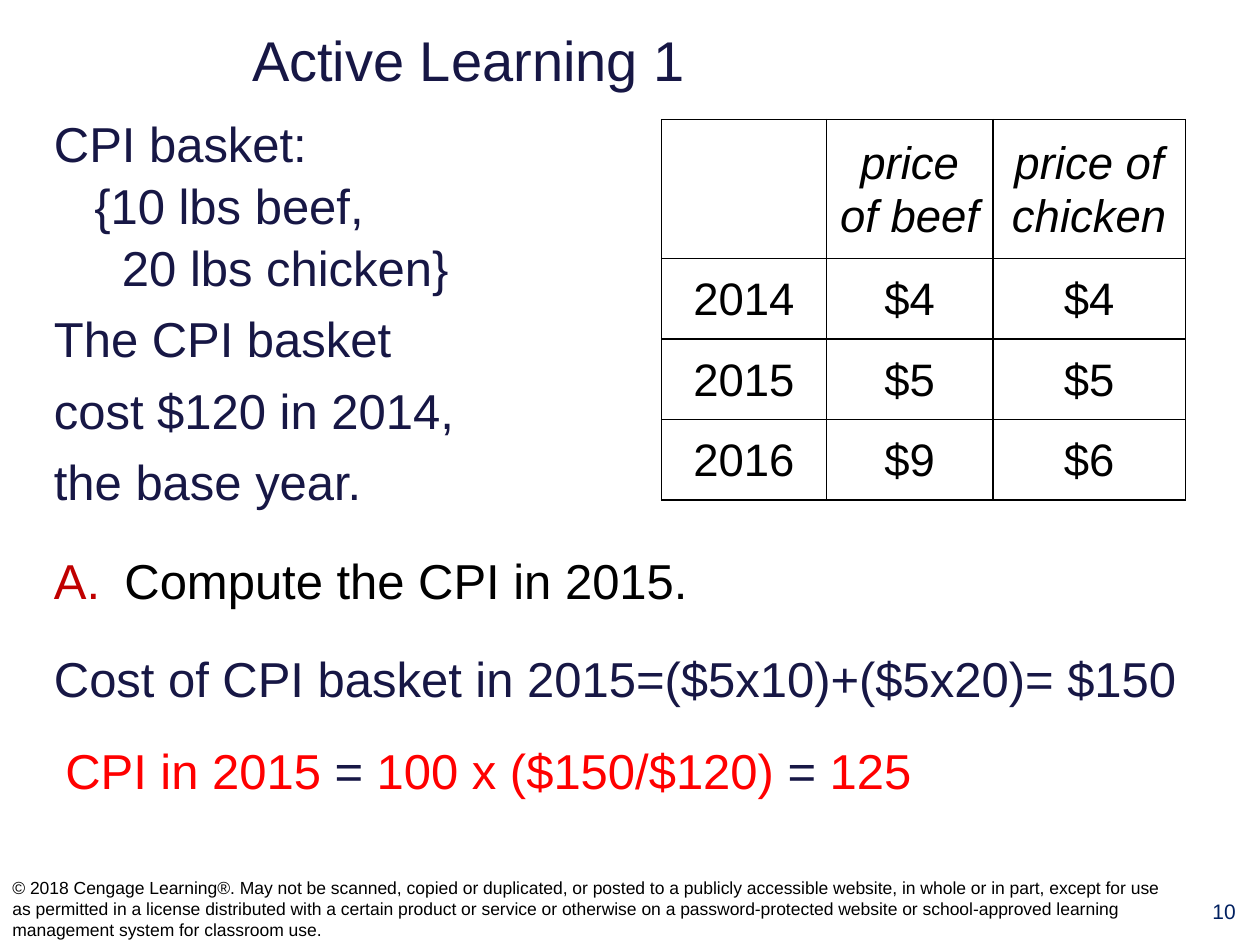
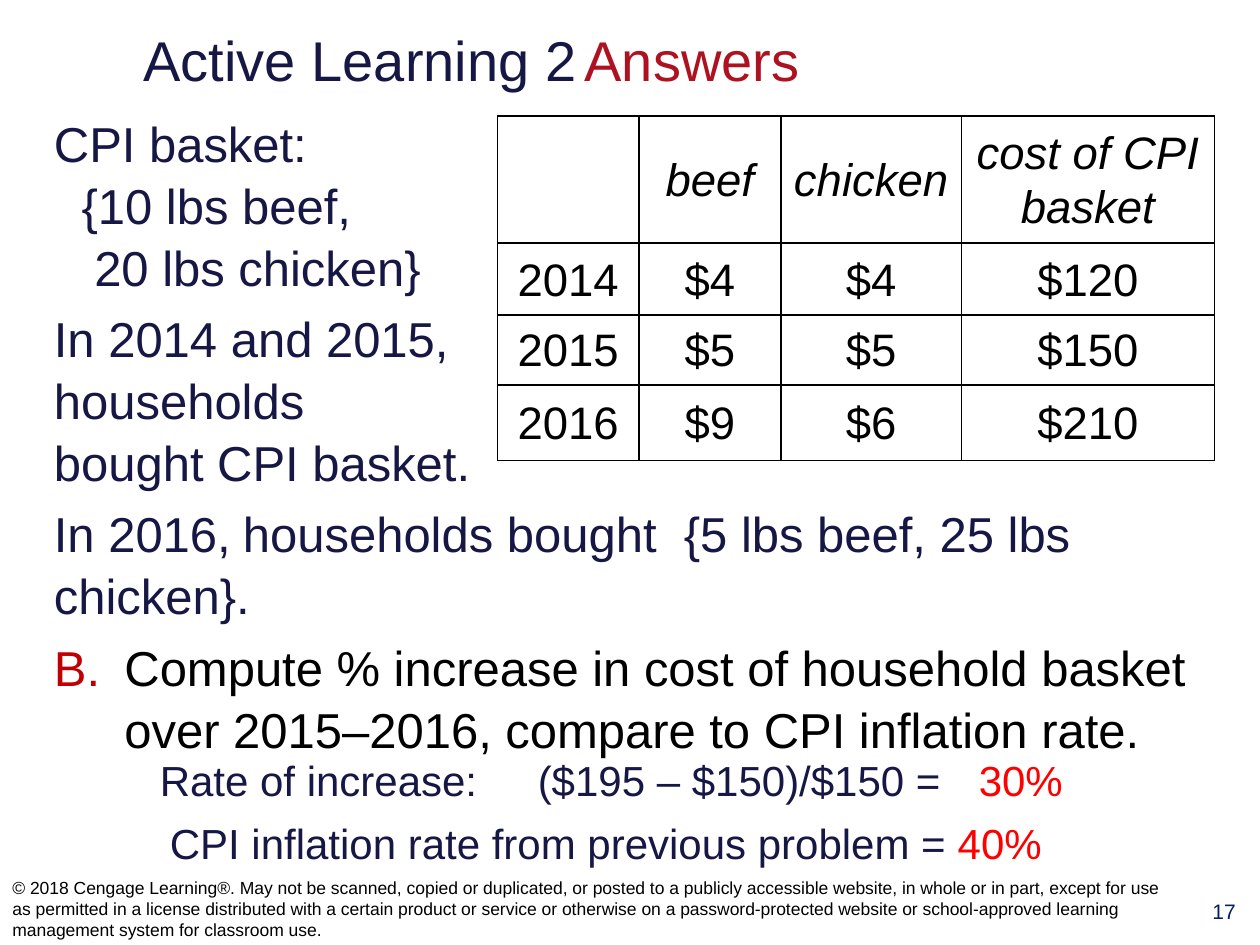
from dataclasses import dataclass
from lxml.etree import SubElement
from pptx import Presentation
from pptx.dml.color import RGBColor as RGB
from pptx.enum.text import MSO_ANCHOR as Anchor, MSO_AUTO_SIZE as AutoSize, PP_ALIGN as Align
from pptx.oxml import parse_xml
from pptx.oxml.ns import nsdecls, qn
from pptx.util import Inches, Pt


@dataclass(frozen=True)
class Theme:
    """Colours, font and type sizes shared by the slides."""
    font: str = "Arial"
    navy: str = "171745"
    black: str = "000000"
    white: str = "FFFFFF"
    red: str = "FF0000"
    bullet: str = "C00000"
    answer: str = "AE1221"
    number: str = "002060"
    title: int = 32
    body: int = 28
    table: int = 26
    result: int = 24
    page: int = 12
    legal: int = 10
    spacing: float = 1.05


T = Theme()
WIDTH, HEIGHT = 10, 7.5
TITLE_BOX = (0.17, 0.11, 9.67, 0.72)
BODY_BOX = (0.33, 0.83, 9.5, 6.22)
PAGE_BOX = (9.43, 7.08, 0.57, 0.41)
LEGAL_BOX = (0, 6.92, 9.41, 0.58)
GAP = 5.6

LEGAL = ("© 2018 Cengage Learning®. May not be scanned, copied or duplicated, or posted to a "
         "publicly accessible website, in whole or in part, except for use as permitted in a "
         "license distributed with a certain product or service or otherwise on a "
         "password-protected website or school-approved learning management system for "
         "classroom use.")

SLIDES = [
    dict(
        page=10,
        title=["Active Learning 1"],
        title_inset=1.83,
        body=[
            ("CPI basket:", {}),
            ("{10 lbs beef,", dict(before=0, left=0.32)),
            ("20 lbs chicken}", dict(before=0, left=0.54)),
            ("The CPI basket", {}),
            ("cost $120 in 2014,", {}),
            ("the base year.", {}),
            ("Compute the CPI in 2015.", dict(number=1, color=T.black, before=21)),
            ("Cost of CPI basket in 2015=($5x10)+($5x20)= $150", dict(before=19, spacing=1.1)),
        ],
        table=dict(
            at=(5.25, 0.95), cols=[1.31, 1.32, 1.53], rows=[1.1, 0.64, 0.64, 0.64],
            cells=[["", "price of beef", "price of chicken"],
                   ["2014", "$4", "$4"],
                   ["2015", "$5", "$5"],
                   ["2016", "$9", "$6"]]),
        results=[
            ((0.42, 5.83, 8.5, 0.57),
             [("CPI in 2015 ", T.red), "= ", ("100 x ($150/$120) ", T.red), "= ", ("125", T.red)],
             dict(size=T.body, spacing=1)),
        ],
    ),
    dict(
        page=17,
        title=["Active Learning 2\t", ("Answers", T.answer)],
        title_inset=0.97,
        body=[
            ("CPI basket:", {}),
            ("{10 lbs beef,", dict(before=0, left=0.22)),
            ("20 lbs chicken}", dict(before=0, left=0.32)),
            ("In 2014 and 2015,\nhouseholds\nbought CPI basket.", {}),
            ("In 2016,\thouseholds bought\t{5 lbs beef, 25 lbs chicken}.", dict(tabs=[1.61, 5.11])),
            ("Compute % increase in cost of household basket over 2015–2016, "
             "compare to CPI inflation rate.", dict(number=2, color=T.black)),
        ],
        table=dict(
            at=(3.95, 0.92), cols=[1.12, 1.13, 1.43, 2.01], rows=[1.01, 0.57, 0.55, 0.6],
            cells=[["", "beef", "chicken", "cost of CPI basket"],
                   ["2014", "$4", "$4", "$120"],
                   ["2015", "$5", "$5", "$150"],
                   ["2016", "$9", "$6", "$210"]]),
        results=[
            ((1.17, 5.92, 8, 0.52),
             ["Rate of increase:\t($195 – $150)/$150\t=\t", ("30%", T.red)],
             dict(size=T.result, tabs=[2.78, 5.88, 6.26])),
            ((1.25, 6.42, 8, 0.52),
             ["CPI inflation rate from previous problem = ", ("40%", T.red)],
             dict(size=T.result)),
        ],
    ),
]


def write(p, text, size=T.body, color=T.navy, italic=False, align=Align.LEFT,
          before=0, spacing=1.0, left=0, number=None, tabs=()):
    """Fill a paragraph with a string or a list of strings and (string, colour) pairs."""
    p.alignment, p.space_before, p.line_spacing = align, Pt(before), spacing
    pPr = p._p.get_or_add_pPr()
    hang = 0.56 if number else 0
    pPr.set("marL", str(Inches(left + hang)))
    pPr.set("indent", str(-Inches(hang)))
    if number:
        SubElement(SubElement(pPr, qn("a:buClr")), qn("a:srgbClr"), val=T.bullet)
        SubElement(pPr, qn("a:buAutoNum"), type="alphaUcPeriod", startAt=str(number))
    if tabs:
        stops = SubElement(pPr, qn("a:tabLst"))
        for x in tabs:
            SubElement(stops, qn("a:tab"), pos=str(Inches(x)), algn="l")
    for part in [text] if isinstance(text, str) else text:
        words, tint = (part, color) if isinstance(part, str) else part
        for i, line in enumerate(words.split("\n")):
            if i:
                p.add_line_break()
            r = p.add_run()
            r.text = line
            r.font.name, r.font.size, r.font.italic = T.font, Pt(size), italic
            r.font.color.rgb = RGB.from_string(tint)


def add_box(s, box, paragraphs, anchor=Anchor.TOP):
    """Add a wrapping text box holding (text, format) paragraphs."""
    tf = s.shapes.add_textbox(*map(Inches, box)).text_frame
    tf.word_wrap, tf.vertical_anchor = True, anchor
    for i, (text, style) in enumerate(paragraphs):
        write(tf.add_paragraph() if i else tf.paragraphs[0], text, **style)


def add_title(s, text, inset):
    """Place and fill the title, with a tab stop for the right-hand word."""
    sp = s.shapes.title
    sp.left, sp.top, sp.width, sp.height = map(Inches, TITLE_BOX)
    tf = sp.text_frame
    tf.word_wrap, tf.auto_size, tf.vertical_anchor = True, AutoSize.NONE, Anchor.MIDDLE
    tf.margin_left = Inches(inset)
    write(tf.paragraphs[0], text, size=T.title, tabs=[6.01])


def add_body(s, lines):
    """Add the main text with an even gap between paragraphs."""
    base = dict(before=GAP, spacing=T.spacing)
    add_box(s, BODY_BOX, [(text, base | style) for text, style in lines])


def add_grid(s, at, cols, rows, cells):
    """Add a white table with thin black borders and an italic header."""
    box = map(Inches, (*at, sum(cols), sum(rows)))
    table = s.shapes.add_table(len(rows), len(cols), *box).table
    table.first_row = table.horz_banding = False
    for col, width in zip(table.columns, cols):
        col.width = Inches(width)
    for i, (row, height) in enumerate(zip(table.rows, rows)):
        row.height = Inches(height)
        for cell, text in zip(row.cells, cells[i]):
            cell.vertical_anchor = Anchor.MIDDLE
            cell.fill.solid()
            cell.fill.fore_color.rgb = RGB.from_string(T.white)
            for k, side in enumerate("LRTB"):
                cell._tc.get_or_add_tcPr().insert(k, parse_xml(
                    f'<a:ln{side} {nsdecls("a")} w="{Pt(1)}"><a:solidFill>'
                    f'<a:srgbClr val="{T.black}"/></a:solidFill></a:ln{side}>'))
            if text:
                write(cell.text_frame.paragraphs[0], text, size=T.table, color=T.black,
                      italic=i == 0, align=Align.CENTER, spacing=T.spacing)


def add_footer(s, page):
    """Add the page number and the copyright line."""
    add_box(s, PAGE_BOX, [(str(page), dict(size=T.page, color=T.number, align=Align.CENTER))])
    add_box(s, LEGAL_BOX, [(LEGAL, dict(size=T.legal, color=T.black))], Anchor.MIDDLE)


def main():
    """Build the slides and save them."""
    prs = Presentation()
    prs.slide_width, prs.slide_height = Inches(WIDTH), Inches(HEIGHT)
    for data in SLIDES:
        s = prs.slides.add_slide(prs.slide_layouts.get_by_name("Title Only"))
        add_title(s, data["title"], data["title_inset"])
        add_body(s, data["body"])
        add_footer(s, data["page"])
        add_grid(s, **data["table"])
        for box, text, style in data["results"]:
            add_box(s, box, [(text, dict(spacing=T.spacing) | style)])


    prs.save("out.pptx")


if __name__ == "__main__":
    main()
